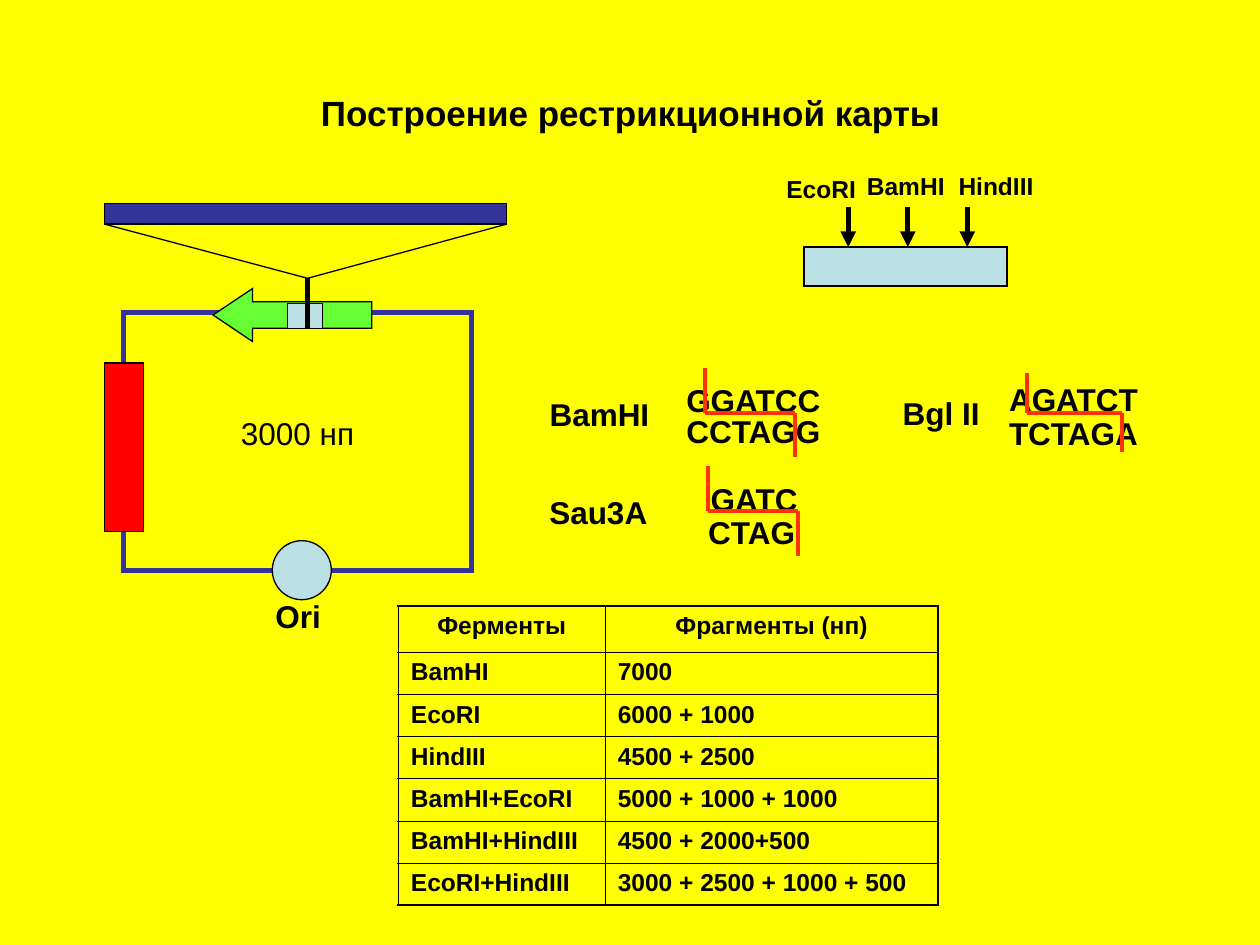
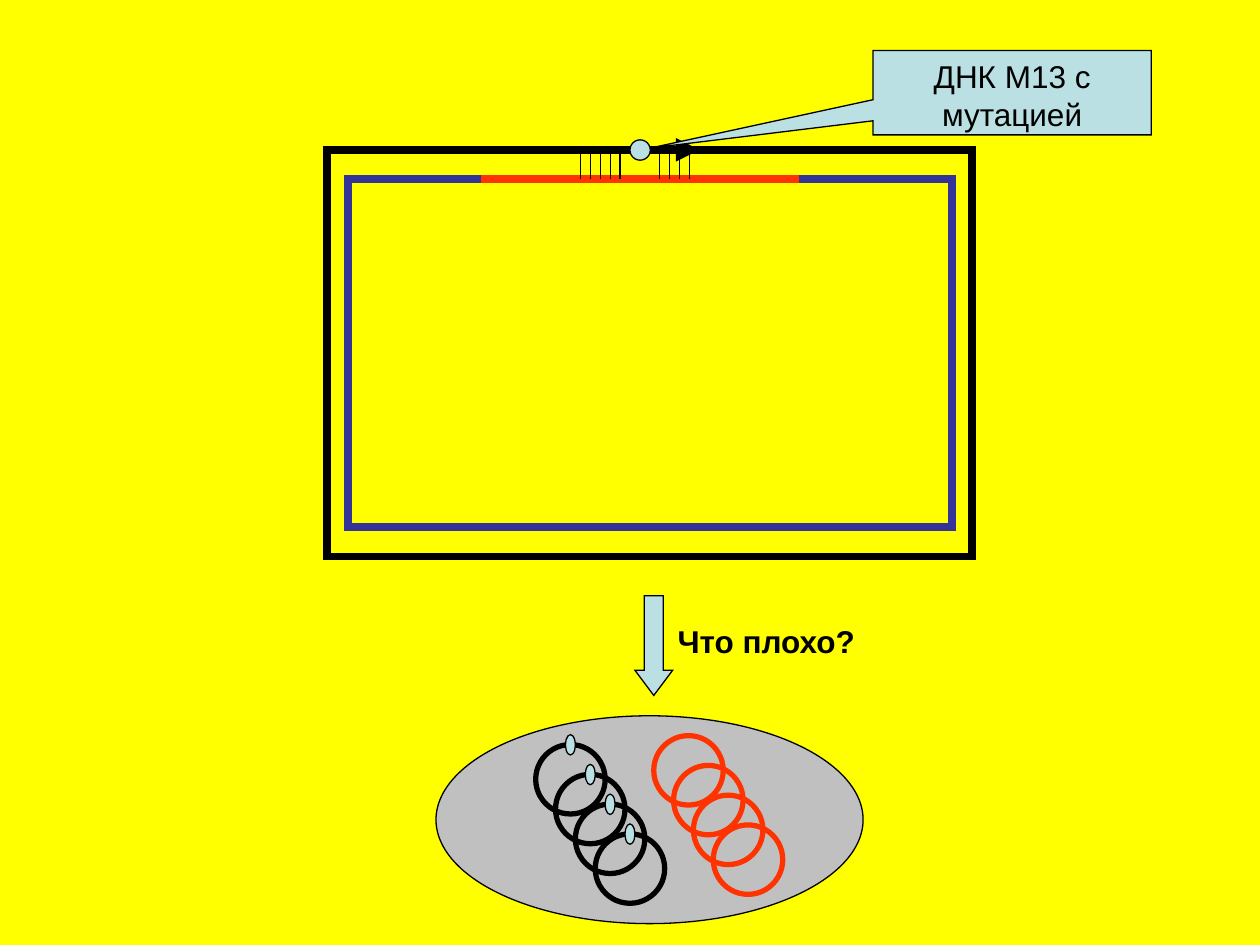
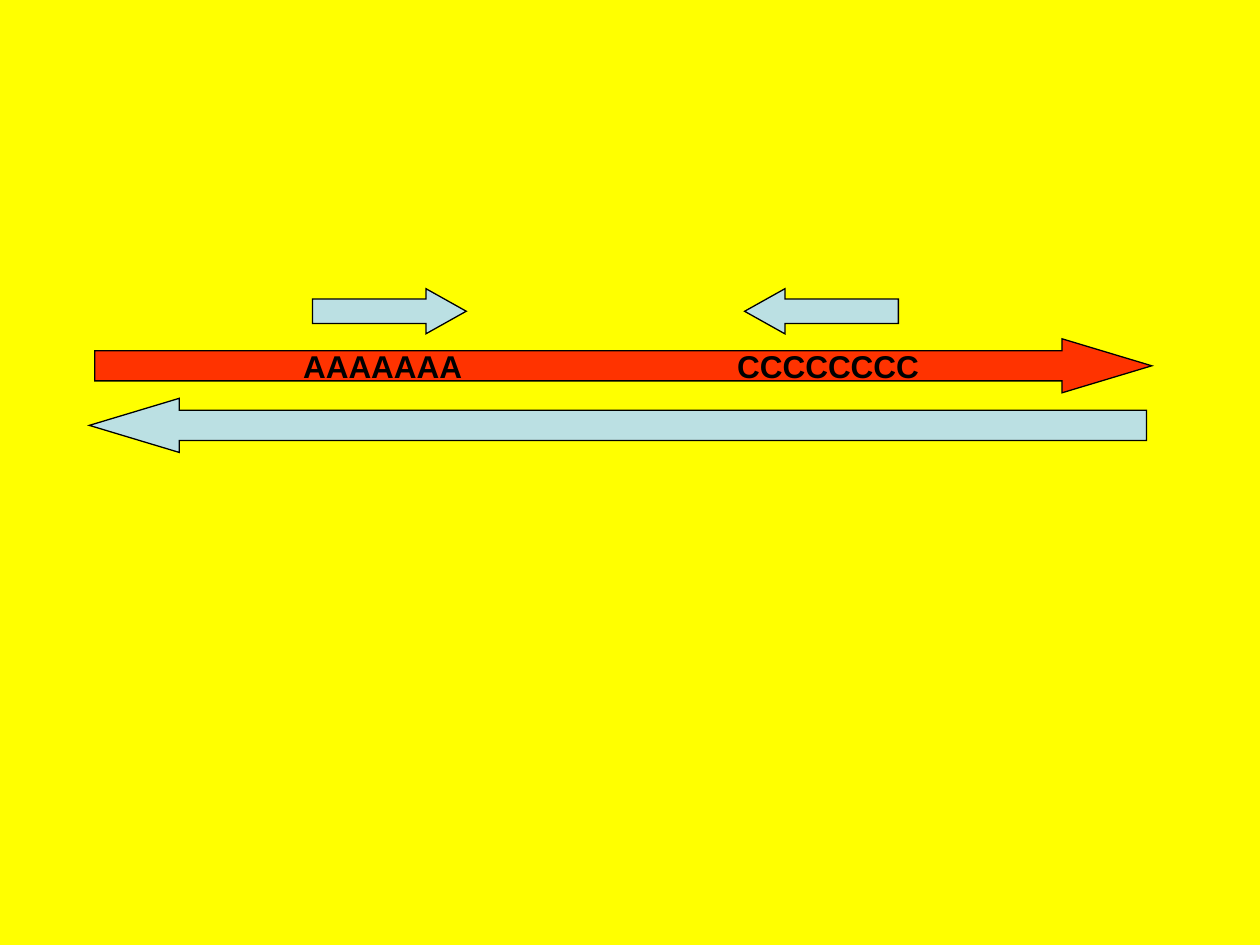
import lxml.etree
import pptx
import pptx.dml.color
import pptx.enum.shapes
import pptx.enum.text
import pptx.oxml.ns
import pptx.util

Cm, Pt = pptx.util.Cm, pptx.util.Pt
SHAPE = pptx.enum.shapes.MSO_SHAPE
ALIGN = pptx.enum.text.PP_ALIGN
qn = pptx.oxml.ns.qn

COLOURS = {"background": "FFFF00", "ink": "000000", "pale": "BBE0E3", "navy": "333399",
           "gene": "FF0000", "cut": "FF3300", "promoter": "66FF33", "cell": "C0C0C0"}
FONT = "Arial"
THIN, MEDIUM, CUT, THICK = 0.75, 3, 2.25, 4.5
LINE_HEIGHT = 1.02

# Content: restriction map, positions in cm
MAP_TITLE = "Построение рестрикционной карты"
POLYLINKER_SITES = [  # enzyme, label left, top, width, arrow x
    ("EcoRI", 15.6, 3.38, 1.91, 17.1),
    ("BamHI", 17.22, 3.33, 2.08, 18.3),
    ("HindIII", 18.98, 3.33, 2.2, 19.5),
]
ENZYMES = [  # name, left, top, width
    ("BamHI", 10.64, 7.84, 2.7),
    ("Sau3A", 10.6, 9.82, 2.7),
    ("Bgl II", 17.8, 7.82, 2.2),
]
CUT_SITES = [  # strands (text, left, top, width), then cut (left, right, top, middle, bottom)
    ([("GGATCC", 13.54, 7.55, 3.25), ("CCTAGG", 13.54, 8.19, 3.25)],
     (14.22, 16.03, 7.42, 8.33, 9.22)),
    ([("GATC", 14.02, 9.56, 2.31), ("CTAG", 13.97, 10.21, 2.31)],
     (14.27, 16.08, 9.4, 10.31, 11.2)),
    ([("AGATCT", 20.04, 7.53, 3.15), ("TCTAGA", 20.04, 8.23, 3.15)],
     (20.7, 22.61, 7.52, 8.33, 9.12)),
]
FRAGMENTS = [
    ("Ферменты", "Фрагменты (нп)"),
    ("BamHI", "7000"),
    ("EcoRI", "6000 + 1000"),
    ("HindIII", "4500 + 2500"),
    ("BamHI+EcoRI", "5000 + 1000 + 1000"),
    ("BamHI+HindIII", "4500 + 2000+500"),
    ("EcoRI+HindIII", "3000 + 2500 + 1000 + 500"),
]
FRAGMENT_COLUMNS = (4.17, 6.71)
HEADER_HEIGHT, ROW_HEIGHT = 0.93, 0.85

# Content: mutagenesis
MUTANT_LABEL = "ДНК М13 с мутацией"
QUESTION = "Что плохо?"
PAIRED_BASES = [0, 1, 2, 3, 4, 8, 9, 10, 11]
PLASMID_COUNT, PLASMID_SIZE, PLASMID_STEP = 4, 1.4, (0.4, 0.6)

# Content: primers
REPEATS = [("ААААААА", 3.95), ("СССССССС", 12.7)]  # text, tab stop
STRAND_HEAD, PRIMER_HEAD = (0.558, 1.662), (0.541, 0.893)


def rgb(colour):
    return pptx.dml.color.RGBColor.from_string(COLOURS[colour])


def add_text(paragraph, text, size=18, bold=True, align=ALIGN.RIGHT):
    paragraph.alignment = align
    run = paragraph.add_run()
    run.text = text
    font = run.font
    font.name, font.size, font.bold = FONT, Pt(size), bold
    font.color.rgb = rgb("ink")


def add_label(slide, text, left, top, width, height=LINE_HEIGHT, **style):
    box = slide.shapes.add_textbox(Cm(left), Cm(top), Cm(width), Cm(height))
    box.text_frame.word_wrap = False
    add_text(box.text_frame.paragraphs[0], text, **style)


def add_figure(slide, kind, left, top, width, height, fill=None, line="ink",
               weight=THIN, adjust=(), rotation=0):
    figure = slide.shapes.add_shape(kind, Cm(left), Cm(top), Cm(width), Cm(height))
    figure.shadow.inherit = False
    if fill:
        figure.fill.solid()
        figure.fill.fore_color.rgb = rgb(fill)
    else:
        figure.fill.background()
    figure.line.color.rgb = rgb(line)
    figure.line.width = Pt(weight)
    # Square corners
    lxml.etree.SubElement(figure._element.spPr.find(qn("a:ln")), qn("a:miter"), lim="800000")
    for index, value in enumerate(adjust):
        figure.adjustments[index] = value
    figure.rotation = rotation
    return figure


def add_line(slide, x1, y1, x2, y2, colour="ink", weight=THIN, arrow=False):
    line = slide.shapes.add_connector(pptx.enum.shapes.MSO_CONNECTOR.STRAIGHT,
                                      Cm(x1), Cm(y1), Cm(x2), Cm(y2))
    line.line.color.rgb = rgb(colour)
    line.line.width = Pt(weight)
    properties = line._element.spPr
    if arrow:
        lxml.etree.SubElement(properties.find(qn("a:ln")), qn("a:tailEnd"), type="triangle")
    lxml.etree.SubElement(properties, qn("a:effectLst"))


def set_borders(cell, weights):
    """Weights come in the order left, right, top, bottom."""
    properties = cell._tc.get_or_add_tcPr()
    for index, (side, weight) in enumerate(zip("LRTB", weights)):
        border = lxml.etree.Element(qn("a:ln" + side), w=str(Pt(weight)))
        fill = lxml.etree.SubElement(border, qn("a:solidFill"))
        lxml.etree.SubElement(fill, qn("a:srgbClr"), val=COLOURS["ink"])
        properties.insert(index, border)


def add_fragment_table(slide, left, top):
    last_row, last_column = len(FRAGMENTS) - 1, len(FRAGMENT_COLUMNS) - 1
    heights = [HEADER_HEIGHT] + [ROW_HEIGHT] * last_row
    table = slide.shapes.add_table(len(heights), len(FRAGMENT_COLUMNS), Cm(left), Cm(top),
                                   Cm(sum(FRAGMENT_COLUMNS)), Cm(sum(heights))).table
    table.first_row = table.horz_banding = False
    for column, width in zip(table.columns, FRAGMENT_COLUMNS):
        column.width = Cm(width)
    for r, texts in enumerate(FRAGMENTS):
        table.rows[r].height = Cm(heights[r])
        for c, text in enumerate(texts):
            cell = table.cell(r, c)
            cell.fill.background()
            outer = (c == 0, c == last_column, r == 0, r == last_row)
            set_borders(cell, [1.08 if edge else 0.45 for edge in outer])
            add_text(cell.text_frame.paragraphs[0], text, size=14,
                     align=ALIGN.LEFT if r else ALIGN.CENTER)


def build_restriction_map(slide):
    title = slide.shapes.title
    title.left, title.top, title.width, title.height = Cm(6.2), Cm(1.71), Cm(13.03), Cm(1.12)
    title.text_frame.word_wrap = False
    title.text_frame.auto_size = pptx.enum.text.MSO_AUTO_SIZE.NONE
    title.text_frame.vertical_anchor = pptx.enum.text.MSO_ANCHOR.TOP
    add_text(title.text_frame.paragraphs[0], MAP_TITLE, size=20, align=ALIGN.CENTER)

    # Plasmid with its origin, resistance gene, promoter and insert
    add_figure(slide, SHAPE.RECTANGLE, 2.49, 6.3, 7.01, 5.21, line="navy", weight=MEDIUM)
    add_figure(slide, SHAPE.OVAL, 5.49, 10.9, 1.19, 1.19, "pale")
    add_label(slide, "Ori", 5.11, 11.91, 1.8, align=ALIGN.CENTER)
    add_figure(slide, SHAPE.RECTANGLE, 2.11, 7.32, 0.79, 3.4, "gene")
    add_figure(slide, SHAPE.UP_ARROW, 5.36, 4.75, 1.07, 3.2, "promoter",
               adjust=(0.5, 0.746), rotation=270)
    add_figure(slide, SHAPE.RECTANGLE, 5.79, 6.12, 0.71, 0.51, "pale")
    insert_x, insert_y = 6.2, 5.61
    add_line(slide, insert_x, insert_y, insert_x, 6.63, weight=MEDIUM)
    add_figure(slide, SHAPE.RECTANGLE, 2.11, 4.11, 8.1, 0.41, "navy")
    for end_x in (2.11, 10.21):
        add_line(slide, end_x, 4.52, insert_x, insert_y)
    add_label(slide, "3000 нп", 4.6, 8.23, 2.79, bold=False)

    # Polylinker
    add_figure(slide, SHAPE.RECTANGLE, 16.21, 4.98, 4.09, 0.79, "pale")
    for enzyme, left, top, width, arrow_x in POLYLINKER_SITES:
        add_line(slide, arrow_x, 4.17, arrow_x, 4.98, weight=MEDIUM, arrow=True)
        add_label(slide, enzyme, left, top, width, 0.86, size=14, align=ALIGN.CENTER)

    # Recognition sites and staggered cuts
    for enzyme in ENZYMES:
        add_label(slide, *enzyme)
    for strands, (left, right, top, middle, bottom) in CUT_SITES:
        for strand in strands:
            add_label(slide, *strand)
        for ends in ((left, top, left, middle), (right, middle, right, bottom),
                     (left, middle, right, middle)):
            add_line(slide, *ends, colour="cut", weight=CUT)

    add_fragment_table(slide, 8.03, 12.22)


def build_mutagenesis(slide):
    # Two strands, primer and mutation
    outer_y, inner_y, primer_x = 3.02, 3.61, 11.7
    add_figure(slide, SHAPE.RECTANGLE, 6.6, outer_y, 13, 8.2, weight=THICK)
    add_figure(slide, SHAPE.RECTANGLE, 7.01, inner_y, 12.19, 7.01, line="navy", weight=THICK)
    add_line(slide, 9.7, inner_y, 16.1, inner_y, "cut", THICK)
    add_line(slide, primer_x, outer_y, 14.1, outer_y, weight=THICK, arrow=True)
    add_figure(slide, SHAPE.OVAL, 12.7, 2.82, 0.41, 0.41, "pale")
    for base in PAIRED_BASES:
        base_x = primer_x + 0.2 * base
        add_line(slide, base_x, outer_y, base_x, inner_y)

    # Cell with mutant and normal plasmids
    add_figure(slide, SHAPE.OVAL, 8.79, 14.43, 8.61, 4.19, "cell")
    for start_x, start_y, colour in ((10.8, 15.01, "ink"), (13.18, 14.83, "cut")):
        for i in range(PLASMID_COUNT):
            x, y = start_x + i * PLASMID_STEP[0], start_y + i * PLASMID_STEP[1]
            add_figure(slide, SHAPE.OVAL, x, y, PLASMID_SIZE, PLASMID_SIZE,
                       line=colour, weight=MEDIUM)
            if colour == "ink":
                add_figure(slide, SHAPE.OVAL, x + 0.6, y - 0.2, 0.2, 0.41, "pale")

    add_figure(slide, SHAPE.DOWN_ARROW, 12.8, 12.01, 0.76, 2.01, "pale", adjust=(0.5, 0.666))
    add_label(slide, QUESTION, 13.41, 12.42, 4.11, align=ALIGN.LEFT)
    callout = add_figure(slide, SHAPE.RECTANGULAR_CALLOUT, 17.6, 1.02, 5.61, 1.7, "pale",
                         adjust=(-1.3, 0.656))
    callout.text_frame.word_wrap = True
    callout.text_frame.vertical_anchor = pptx.enum.text.MSO_ANCHOR.TOP
    add_text(callout.text_frame.paragraphs[0], MUTANT_LABEL, bold=False, align=ALIGN.CENTER)


def build_primers(slide):
    template = add_figure(slide, SHAPE.RIGHT_ARROW, 1.91, 6.83, 21.31, 1.09, "cut",
                          adjust=STRAND_HEAD)
    paragraph = template.text_frame.paragraphs[0]
    tabs = lxml.etree.SubElement(paragraph._p.get_or_add_pPr(), qn("a:tabLst"))
    for repeat, stop in REPEATS:
        lxml.etree.SubElement(tabs, qn("a:tab"), pos=str(Cm(stop)), algn="l")
        add_text(paragraph, "\t" + repeat, align=ALIGN.LEFT)
    add_figure(slide, SHAPE.RIGHT_ARROW, 1.8, 8.03, 21.31, 1.09, "pale",
               adjust=STRAND_HEAD, rotation=180)
    for left, rotation in ((15.01, 180), (6.3, 0)):
        add_figure(slide, SHAPE.RIGHT_ARROW, left, 5.82, 3.1, 0.91, "pale",
                   adjust=PRIMER_HEAD, rotation=rotation)


def main():
    deck = pptx.Presentation()
    deck.slide_width, deck.slide_height = Cm(25.4), Cm(19.05)
    background = deck.slide_master.background.fill
    background.solid()
    background.fore_color.rgb = rgb("background")
    title_only, blank = deck.slide_layouts[5], deck.slide_layouts[6]
    for layout, build in ((title_only, build_restriction_map), (blank, build_mutagenesis),
                          (blank, build_primers)):
        build(deck.slides.add_slide(layout))
    deck.save("out.pptx")


if __name__ == "__main__":
    main()
